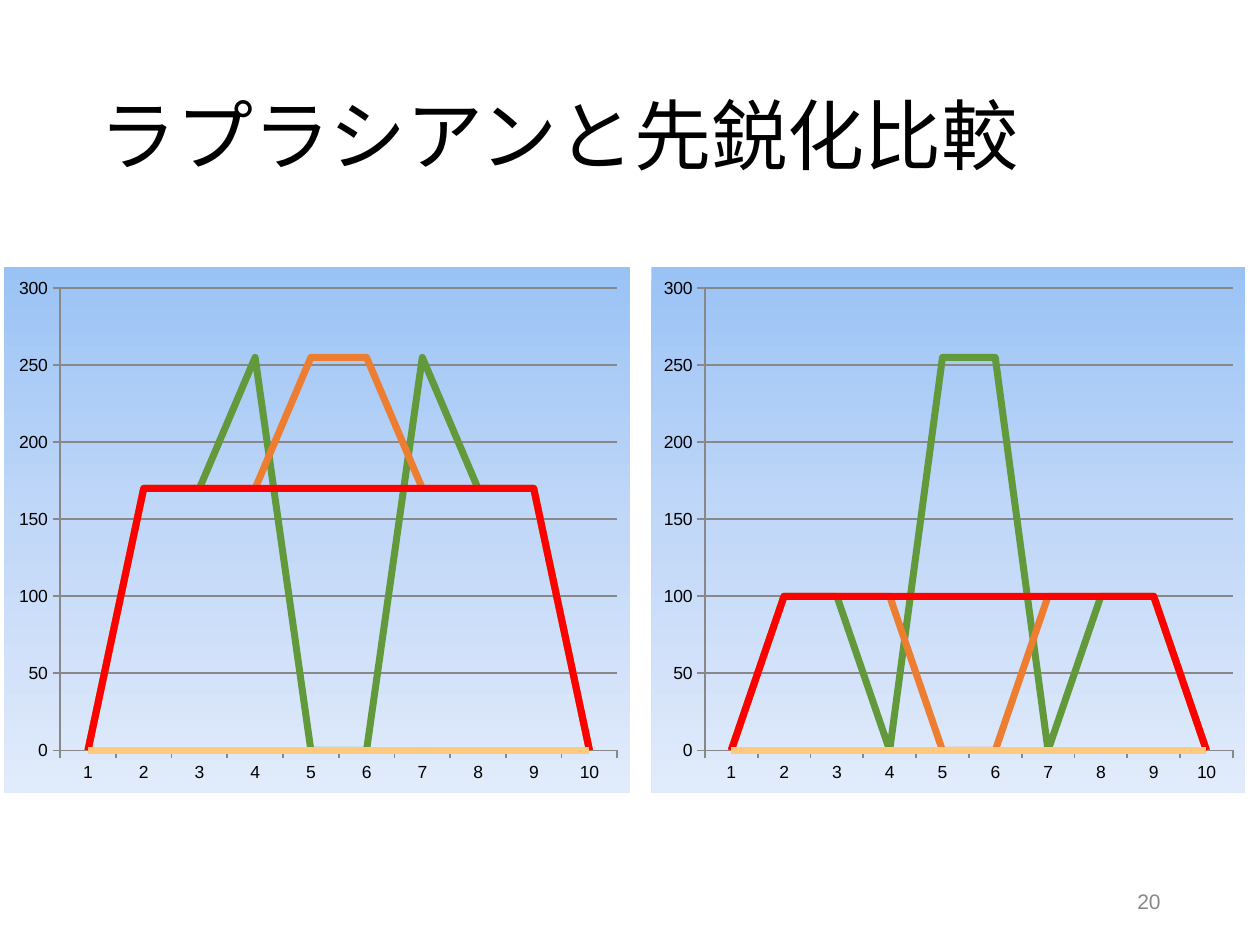
import pptx
import pptx.chart.data
import pptx.dml.color
import pptx.enum.chart
import pptx.enum.text
import pptx.oxml
import pptx.oxml.ns
import pptx.util

RGB = pptx.dml.color.RGBColor
BLACK = RGB(0x00, 0x00, 0x00)
GRAY = RGB(0x88, 0x88, 0x88)
BLUE = RGB(0x5B, 0x9B, 0xD5)
ORANGE = RGB(0xED, 0x7D, 0x31)
SILVER = RGB(0xA5, 0xA5, 0xA5)
GOLD = RGB(0xFF, 0xC0, 0x00)
NAVY = RGB(0x44, 0x72, 0xC4)
GREEN = RGB(0x61, 0x99, 0x3B)
RED = RGB(0xFF, 0x00, 0x00)
CREAM = RGB(0xFF, 0xCA, 0x7F)
SKY = [(0, RGB(0x9A, 0xC3, 0xF5)), (50, RGB(0xC2, 0xD8, 0xF8)), (100, RGB(0xE1, 0xEB, 0xFB))]
FONT = "Arial"
WIDTH, HEIGHT = 10, 7.5
PLOT = {"x": 0.09, "y": 0.04, "w": 0.89, "h": 0.88}
CHART_TOP, CHART_HEIGHT = 2.12, 4.17
SERIES = [
    ("zero", BLUE, 2.25), ("flat", ORANGE, 2.25), ("flat", SILVER, 2.25),
    ("inner", GOLD, 2.25), ("outer", NAVY, 2.25), ("outer", GREEN, 4),
    ("inner", ORANGE, 4), ("flat", ORANGE, 2.25), ("flat", RED, 4), ("zero", CREAM, 4),
]


def inches(*lengths):
    """Convert lengths to EMU."""
    return [pptx.util.Inches(n) for n in lengths]


def format_text(tf, size, color, align):
    """Format a one-paragraph text frame."""
    tf.word_wrap = True
    tf.auto_size = pptx.enum.text.MSO_AUTO_SIZE.NONE
    tf.vertical_anchor = pptx.enum.text.MSO_ANCHOR.MIDDLE
    p = tf.paragraphs[0]
    p.alignment = align
    font = p.runs[0].font
    font.size, font.name = pptx.util.Pt(size), FONT
    font.color.rgb = color


def add_title(s, text):
    """Fill and place the title placeholder."""
    sp = s.shapes.title
    sp.left, sp.top, sp.width, sp.height = inches(0.69, 0.38, 8.62, 1.45)
    sp.text_frame.text = text
    format_text(sp.text_frame, 44, BLACK, pptx.enum.text.PP_ALIGN.LEFT)
    sp.text_frame.paragraphs[0].line_spacing = 0.9


def add_page_number(s, number):
    """Add the page number at the bottom right."""
    sp = s.shapes.add_textbox(*inches(7.06, 6.95, 2.25, 0.4))
    sp.text_frame.text = str(number)
    format_text(sp.text_frame, 12, GRAY, pptx.enum.text.PP_ALIGN.RIGHT)


def profiles(level, inside, outside):
    """Return the value rows of a signal and its sharpened forms."""
    return {
        "zero": [0] * 10,
        "flat": [0] + [level] * 8 + [0],
        "inner": [0] + [level] * 3 + [inside] * 2 + [level] * 3 + [0],
        "outer": [0, level, level, inside, outside, outside, inside, level, level, 0],
    }


def style_axis(axis):
    """Give an axis a thin gray line and outside ticks."""
    axis.format.line.color.rgb = GRAY
    axis.format.line.width = pptx.util.Pt(1)
    axis.major_tick_mark = pptx.enum.chart.XL_TICK_MARK.OUTSIDE
    axis.minor_tick_mark = pptx.enum.chart.XL_TICK_MARK.NONE


def set_background_and_layout(chart):
    """Add the sky gradient and fix the inner plot area."""
    ns = pptx.oxml.ns.nsdecls("c", "a")
    stops = "".join(
        f'<a:gs pos="{pos * 1000}"><a:srgbClr val="{color}"/></a:gs>' for pos, color in SKY)
    chart_el = chart.element.find(pptx.oxml.ns.qn("c:chart"))
    chart_el.addnext(pptx.oxml.parse_xml(
        f'<c:spPr {ns}><a:gradFill><a:gsLst>{stops}</a:gsLst>'
        '<a:lin ang="5400000" scaled="0"/></a:gradFill><a:ln><a:noFill/></a:ln></c:spPr>'))
    plot_area = chart_el.find(pptx.oxml.ns.qn("c:plotArea"))
    for layout in plot_area.findall(pptx.oxml.ns.qn("c:layout")):
        plot_area.remove(layout)
    modes = "".join(f'<c:{k}Mode val="edge"/>' for k in "xy")
    sizes = "".join(f'<c:{k} val="{v}"/>' for k, v in PLOT.items())
    plot_area.insert(0, pptx.oxml.parse_xml(
        f'<c:layout {ns}><c:manualLayout><c:layoutTarget val="inner"/>'
        f'{modes}{sizes}</c:manualLayout></c:layout>'))


def add_line_chart(s, left, width, rows):
    """Add a line chart of the given profile rows."""
    data = pptx.chart.data.CategoryChartData()
    data.categories = [str(n) for n in range(1, 11)]
    for i, (row, _, _) in enumerate(SERIES, 1):
        data.add_series(f"Series {i}", rows[row])
    chart = s.shapes.add_chart(
        pptx.enum.chart.XL_CHART_TYPE.LINE,
        *inches(left, CHART_TOP, width, CHART_HEIGHT), data).chart
    chart.has_legend = chart.has_title = False
    chart.font.size, chart.font.name = pptx.util.Pt(10), FONT
    chart.font.color.rgb = BLACK
    chart.plots[0].vary_by_categories = False
    for series, (_, color, weight) in zip(chart.plots[0].series, SERIES):
        series.smooth = False
        series.format.line.color.rgb = color
        series.format.line.width = pptx.util.Pt(weight)
    axis = chart.value_axis
    axis.minimum_scale, axis.maximum_scale, axis.major_unit = 0, 300, 50
    axis.has_major_gridlines = True
    axis.major_gridlines.format.line.color.rgb = GRAY
    axis.major_gridlines.format.line.width = pptx.util.Pt(1)
    style_axis(axis)
    style_axis(chart.category_axis)
    set_background_and_layout(chart)


def main():
    """Build the slide and save it."""
    prs = pptx.Presentation()
    prs.slide_width, prs.slide_height = inches(WIDTH, HEIGHT)
    s = prs.slides.add_slide(prs.slide_layouts[5])
    add_title(s, "ラプラシアンと先鋭化比較")
    add_page_number(s, 20)
    add_line_chart(s, 5.17, 4.71, profiles(100, 0, 255))
    add_line_chart(s, 0.03, 4.97, profiles(170, 255, 0))
    prs.save("out.pptx")


if __name__ == "__main__":
    main()
